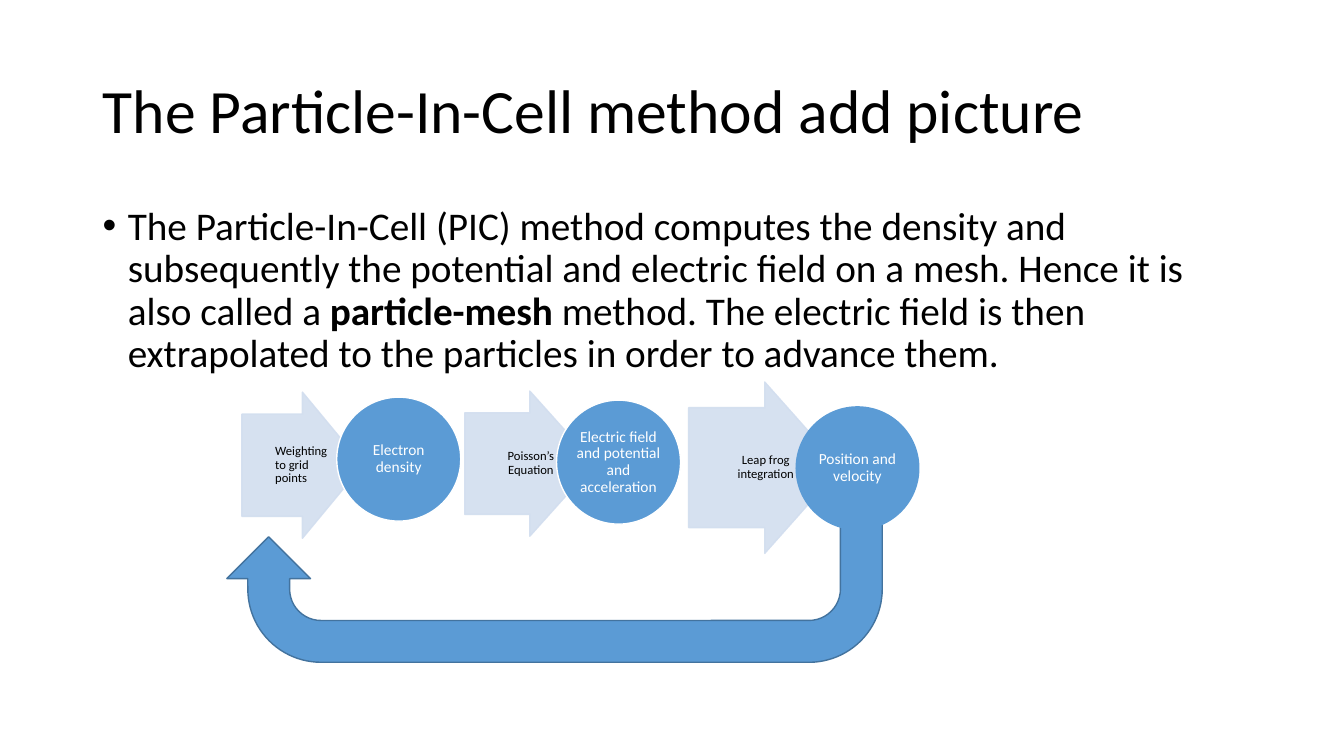
from lxml import etree
from pptx import Presentation
from pptx.dml.color import RGBColor
from pptx.enum.shapes import MSO_SHAPE
from pptx.enum.text import MSO_ANCHOR, MSO_AUTO_SIZE, PP_ALIGN
from pptx.oxml.ns import qn
from pptx.util import Inches, Pt

ARROW, CIRCLE, RETURN_ARROW = MSO_SHAPE.RIGHT_ARROW, MSO_SHAPE.OVAL, MSO_SHAPE.U_TURN_ARROW
LEFT, CENTER = PP_ALIGN.LEFT, PP_ALIGN.CENTER
TOP, MIDDLE = MSO_ANCHOR.TOP, MSO_ANCHOR.MIDDLE
NO_FIT = MSO_AUTO_SIZE.NONE
TITLE_ONLY = 5

BLACK, WHITE = "000000", "FFFFFF"
BLUE, DARK_BLUE, PALE_BLUE = "5B9BD5", "43739E", "D2DEEF"
CIRCLE_SIZE = 1.23
PALE_OPACITY = 90
CAPTION_INSETS = (0.03, 0.01, 0.01, 0.01)
CIRCLE_INSETS = (0.01, 0.01, 0.01, 0.01)

INTRO = [
    ("The Particle-In-Cell (PIC) method computes the density and subsequently the potential "
     "and electric field on a mesh. Hence it is also called a ", False),
    ("particle-mesh", True),
    (" method. The electric field is then extrapolated to the particles in order to "
     "advance them.", False),
]
STEPS = [
    ("Weighting to grid points", (2.4, 3.89, 1.2, 1.45), LEFT),
    ("Poisson’s Equation", (4.61, 3.88, 1.29, 1.44), CENTER),
    ("Leap frog integration", (6.83, 3.79, 1.51, 1.7), CENTER),
]
RESULTS = [
    ("Electron density", (3.34, 3.94), WHITE),
    ("Electric field and potential and acceleration", (5.52, 3.97), WHITE),
    ("Position and velocity", (7.89, 4.03), None),
]


def rgb(color):
    """Turn a hex string into a colour."""
    return RGBColor.from_string(color)


def set_all(target, values):
    """Set every attribute given in a dict of format values."""
    for attribute, value in values.items():
        setattr(target, attribute, value)


def format_frame(frame, anchor, insets=None):
    """Set wrapping, anchoring and, if given, insets in inches."""
    set_all(frame, {"word_wrap": True, "auto_size": NO_FIT, "vertical_anchor": anchor})
    if insets:
        sides = ("margin_left", "margin_top", "margin_right", "margin_bottom")
        set_all(frame, dict(zip(sides, map(Inches, insets))))


def write(paragraph, runs, size, color, align=LEFT):
    """Fill a paragraph with (text, bold) runs."""
    set_all(paragraph, {"alignment": align, "line_spacing": 0.9})
    for text, bold in runs:
        run = paragraph.add_run()
        run.text = text
        set_all(run.font, {"name": "Calibri", "size": Pt(size), "bold": bold})
        run.font.color.rgb = rgb(color)


def set_opacity(fill_color, percent):
    """Give a colour already set in a fill an opacity."""
    for color in fill_color.iter(qn("a:srgbClr")):
        etree.SubElement(color, qn("a:alpha"), val=str(percent * 1000))


def add_preset(slide, preset, box, fill, outline):
    """Add a flat preset shape with an optional outline."""
    shape = slide.shapes.add_shape(preset, *map(Inches, box))
    shape.shadow.inherit = False
    shape.fill.solid()
    shape.fill.fore_color.rgb = rgb(fill)
    if outline:
        shape.line.color.rgb = rgb(outline)
        shape.line.width = Pt(1)
    else:
        shape.line.fill.background()
    return shape


def add_text(slide, box, anchor, insets=None):
    """Add a text box and return its first paragraph."""
    frame = slide.shapes.add_textbox(*map(Inches, box)).text_frame
    format_frame(frame, anchor, insets)
    return frame.paragraphs[0]


def add_title(slide, text):
    """Place and fill the title placeholder."""
    title = slide.shapes.title
    position = dict(zip(("left", "top", "width", "height"), map(Inches, (0.92, 0.4, 11.5, 1.45))))
    set_all(title, position)
    format_frame(title.text_frame, MIDDLE)
    write(title.text_frame.paragraphs[0], [(text, False)], 44, BLACK)


def add_intro(slide):
    """Add the bulleted introduction."""
    paragraph = add_text(slide, (0.92, 2, 11.5, 4.76), TOP)
    properties = paragraph._p.get_or_add_pPr()
    properties.set("marL", str(Inches(0.25)))
    properties.set("indent", str(Inches(-0.25)))
    etree.SubElement(properties, qn("a:buFont"), typeface="Arial")
    etree.SubElement(properties, qn("a:buChar"), char="•")
    write(paragraph, INTRO, 28, BLACK)


def add_step(slide, text, box, align):
    """Add a pale arrow with its caption over the middle half."""
    arrow = add_preset(slide, ARROW, box, PALE_BLUE, PALE_BLUE)
    arrow.adjustments[0] = 0.7
    arrow.adjustments[1] = 0.5
    set_opacity(arrow._element.spPr, PALE_OPACITY)
    left, top, width, height = box
    caption_box = (left + width / 4, top + 0.15 * height, width / 2, 0.7 * height)
    write(add_text(slide, caption_box, MIDDLE, CAPTION_INSETS), [(text, False)], 9, BLACK, align)


def add_result(slide, text, corner, outline):
    """Add a circle naming the quantity a step yields."""
    circle = add_preset(slide, CIRCLE, (*corner, CIRCLE_SIZE, CIRCLE_SIZE), BLUE, outline)
    format_frame(circle.text_frame, MIDDLE, CIRCLE_INSETS)
    write(circle.text_frame.paragraphs[0], [(text, False)], 11, WHITE, CENTER)


def main():
    """Build and save the slide."""
    deck = Presentation()
    set_all(deck, {"slide_width": Inches(13.33), "slide_height": Inches(7.5)})
    slide = deck.slides.add_slide(deck.slide_layouts[TITLE_ONLY])
    return_arrow = add_preset(slide, RETURN_ARROW, (2.25, 4.91, 6.5, 1.66), BLUE, DARK_BLUE)
    return_arrow.rotation = 180
    add_title(slide, "The Particle-In-Cell method add picture")
    add_intro(slide)
    for step, result in zip(STEPS, RESULTS):
        add_step(slide, *step)
        add_result(slide, *result)
    deck.save("out.pptx")


if __name__ == "__main__":
    main()
